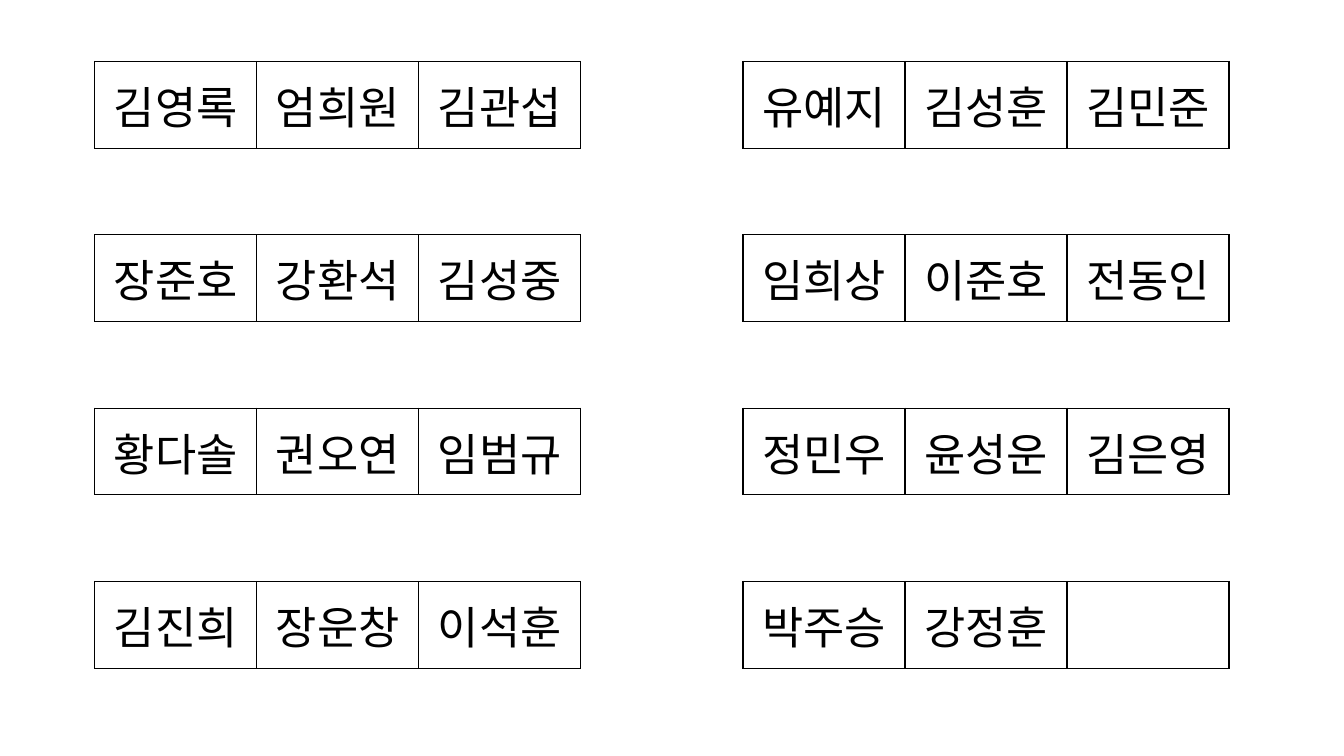
from dataclasses import dataclass

from lxml import etree
from pptx import Presentation
from pptx import util as u
from pptx.dml.color import RGBColor
from pptx.enum import text
from pptx.oxml import ns


@dataclass(frozen=True)
class Theme:
    font: str = "Noto Sans CJK KR"
    ink: str = "000000"
    name_size: int = 32
    border_width: int = 1


SEAT_ROWS = [
    ["김영록", "엄희원", "김관섭", None, "유예지", "김성훈", "김민준"],
    ["장준호", "강환석", "김성중", None, "임희상", "이준호", "전동인"],
    ["황다솔", "권오연", "임범규", None, "정민우", "윤성운", "김은영"],
    ["김진희", "장운창", "이석훈", None, "박주승", "강정훈", ""],
]
SIDES = {"lnL": (0, -1), "lnR": (0, 1), "lnT": (-1, 0), "lnB": (1, 0)}


def with_aisles(seat_rows):
    """Put an empty row between seat rows; None marks a place without a seat."""
    rows = []
    for seats in seat_rows:
        if rows:
            rows.append([None] * len(seats))
        rows.append(seats)
    return rows


class SeatingSlide:
    def __init__(self, page, theme):
        self.page = page
        self.theme = theme

    def add_seats(self, rows, left, top, width, height):
        frame = self.page.shapes.add_table(
            len(rows), len(rows[0]), u.Inches(left), u.Inches(top),
            u.Inches(width), u.Inches(height))
        table = frame.table
        table.first_row = table.horz_banding = False
        seats = {(r, c) for r, row in enumerate(rows)
                 for c, name in enumerate(row) if name is not None}
        for r, row in enumerate(rows):
            for c, name in enumerate(row):
                cell = table.cell(r, c)
                cell.fill.background()
                self.add_borders(cell, r, c, seats)
                if name:
                    self.add_name(cell, name)

    def add_borders(self, cell, r, c, seats):
        """Draw each side that touches a seat and clear the others."""
        properties = cell._tc.get_or_add_tcPr()
        for index, (tag, (down, across)) in enumerate(SIDES.items()):
            line = etree.Element(ns.qn(f"a:{tag}"),
                                 w=str(u.Pt(self.theme.border_width)))
            if (r, c) in seats or (r + down, c + across) in seats:
                fill = etree.SubElement(line, ns.qn("a:solidFill"))
                etree.SubElement(fill, ns.qn("a:srgbClr"), val=self.theme.ink)
            else:
                etree.SubElement(line, ns.qn("a:noFill"))
            properties.insert(index, line)

    def add_name(self, cell, name):
        cell.vertical_anchor = text.MSO_ANCHOR.MIDDLE
        para = cell.text_frame.paragraphs[0]
        para.alignment = text.PP_ALIGN.CENTER
        span = para.add_run()
        span.text = name
        span.font.size = u.Pt(self.theme.name_size)
        span.font.color.rgb = RGBColor.from_string(self.theme.ink)
        span.font.name = self.theme.font
        etree.SubElement(span._r.get_or_add_rPr(), ns.qn("a:ea"),
                         typeface=self.theme.font)


def main():
    deck = Presentation()
    deck.slide_width, deck.slide_height = u.Inches(13.33), u.Inches(7.5)
    slide = SeatingSlide(deck.slides.add_slide(deck.slide_layouts[6]), Theme())
    slide.add_seats(with_aisles(SEAT_ROWS), 0.94, 0.61, 11.25, 6.02)
    deck.save("out.pptx")


if __name__ == "__main__":
    main()
